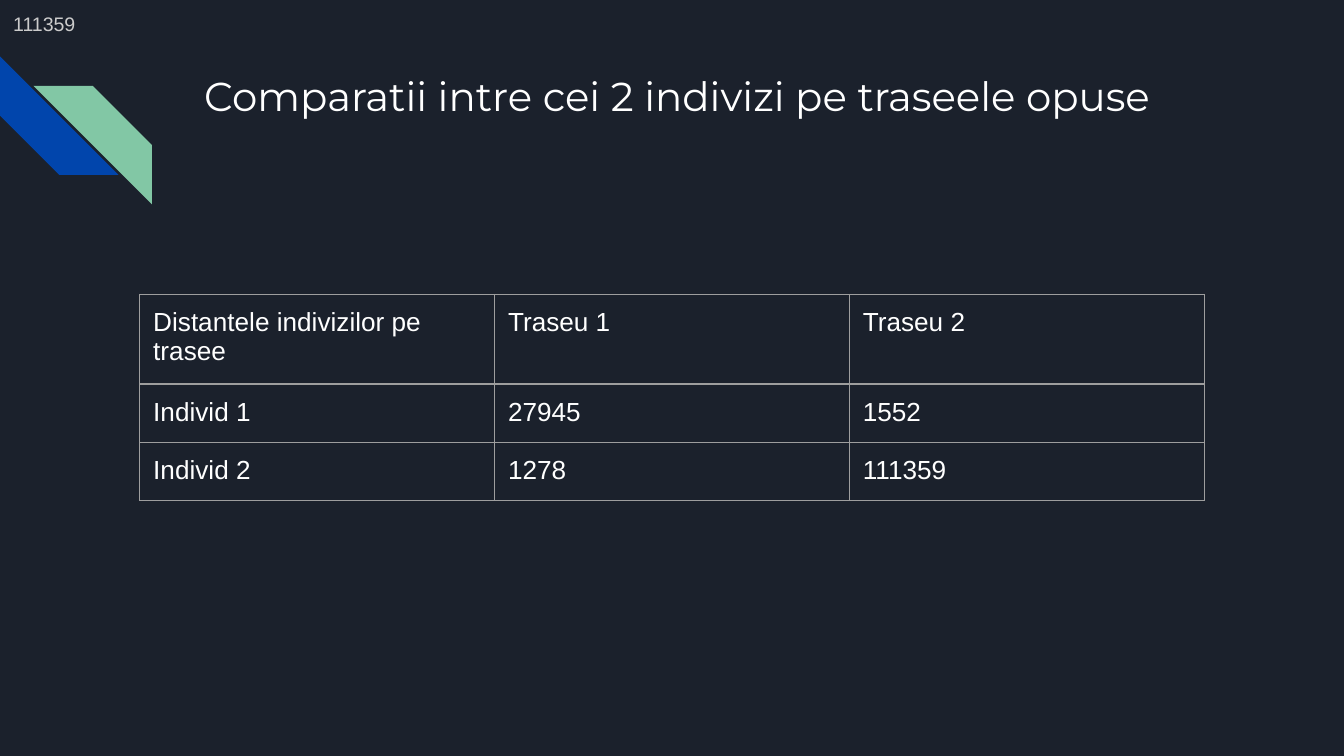
from lxml.etree import SubElement
from pptx import Presentation
from pptx.dml.color import RGBColor
from pptx.enum.shapes import MSO_SHAPE
from pptx.oxml.ns import qn
from pptx.util import Inches, Pt

BACKGROUND = RGBColor(0x1B, 0x21, 0x2C)
BLUE = RGBColor(0x01, 0x45, 0xAC)
GREEN = RGBColor(0x82, 0xC7, 0xA5)
WHITE = RGBColor(0xFF, 0xFF, 0xFF)
LIGHT_GREY = RGBColor(0xCC, 0xCC, 0xCC)
BORDER_GREY = RGBColor(0x9E, 0x9E, 0x9E)

SLIDE_SIZE = {"slide_width": Inches(10), "slide_height": Inches(10) * 9 // 16}
GRID_UNIT = Inches(0.1)
MARGINS = dict.fromkeys(("margin_left", "margin_top", "margin_right", "margin_bottom"), GRID_UNIT)
TITLE_FORMAT = {"name": "Montserrat", "size": Pt(21.6)}
CELL_FORMAT = {"name": "Arial", "size": Pt(14)}
NOTE_FORMAT = {"name": "Arial", "size": Pt(10.5)}

DISTANCES = [
    ["Distantele indivizilor pe trasee", "Traseu 1", "Traseu 2"],
    ["Individ 1", "27945", "1552"],
    ["Individ 2", "1278", "111359"],
]


def grid_box(column, row, columns, rows):
    return [round(length * GRID_UNIT) for length in (column, row, columns, rows)]


def set_attributes(target, values):
    for name, value in values.items():
        setattr(target, name, value)


def write_text(text_frame, text, font_format, color):
    text_frame.word_wrap = True
    paragraph = text_frame.paragraphs[0]
    run = paragraph.add_run()
    run.text = text
    set_attributes(run.font, font_format)
    run.font.color.rgb = color


def add_text(slide, box, text, font_format, color):
    text_frame = slide.shapes.add_textbox(*box).text_frame
    set_attributes(text_frame, MARGINS)
    write_text(text_frame, text, font_format, color)


def add_corner_stripes(slide, box):
    left, top, width, height = box
    size = round(width * 0.78)
    stripes = [
        (left, top, 270, BLUE),
        (left + width - size, top + height - size, 90, GREEN),
    ]
    for stripe_left, stripe_top, rotation, color in stripes:
        shape = slide.shapes.add_shape(
            MSO_SHAPE.DIAGONAL_STRIPE, stripe_left, stripe_top, size, size
        )
        shape.adjustments[0] = 0.5
        shape.rotation = rotation
        shape.shadow.inherit = False
        shape.fill.solid()
        shape.fill.fore_color.rgb = color
        shape.line.fill.background()


def add_cell_borders(cell):
    properties = cell._tc.get_or_add_tcPr()
    for position, side in enumerate(("lnL", "lnR", "lnT", "lnB")):
        line = properties.makeelement(qn(f"a:{side}"), {"w": str(Pt(0.75))})
        fill = SubElement(line, qn("a:solidFill"))
        SubElement(fill, qn("a:srgbClr"), val=str(BORDER_GREY))
        properties.insert(position, line)


def add_distance_table(slide, box, column_width, row_height, values):
    left, top, width, height = box
    frame = slide.shapes.add_table(len(values), len(values[0]), *box)
    table = frame.table
    set_attributes(table, {"first_row": False, "horz_banding": False})
    for column in table.columns:
        column.width = column_width
    for row, row_values in zip(table.rows, values):
        row.height = row_height
        for cell, text in zip(row.cells, row_values):
            cell.fill.background()
            set_attributes(cell, MARGINS)
            write_text(cell.text_frame, text, CELL_FORMAT, WHITE)
            add_cell_borders(cell)
    set_attributes(frame, {"width": width, "height": height})


def build_comparison_slide(presentation):
    slide = presentation.slides.add_slide(presentation.slide_layouts[6])
    slide.background.fill.solid()
    slide.background.fill.fore_color.rgb = BACKGROUND
    add_corner_stripes(slide, grid_box(0, 4.2, 11.3, 11))
    add_text(
        slide,
        grid_box(14.2, 4.3, 77, 10),
        "Comparatii intre cei 2 indivizi pe traseele opuse",
        TITLE_FORMAT,
        WHITE,
    )
    add_distance_table(
        slide,
        grid_box(10.4, 21.9, 32.8, 32.8),
        round(26.4 * GRID_UNIT),
        round(4.2 * GRID_UNIT),
        DISTANCES,
    )
    add_text(slide, grid_box(0, 0, 32.8, 3.8), "111359", NOTE_FORMAT, LIGHT_GREY)


def main():
    presentation = Presentation()
    set_attributes(presentation, SLIDE_SIZE)
    build_comparison_slide(presentation)
    presentation.save("out.pptx")


if __name__ == "__main__":
    main()
